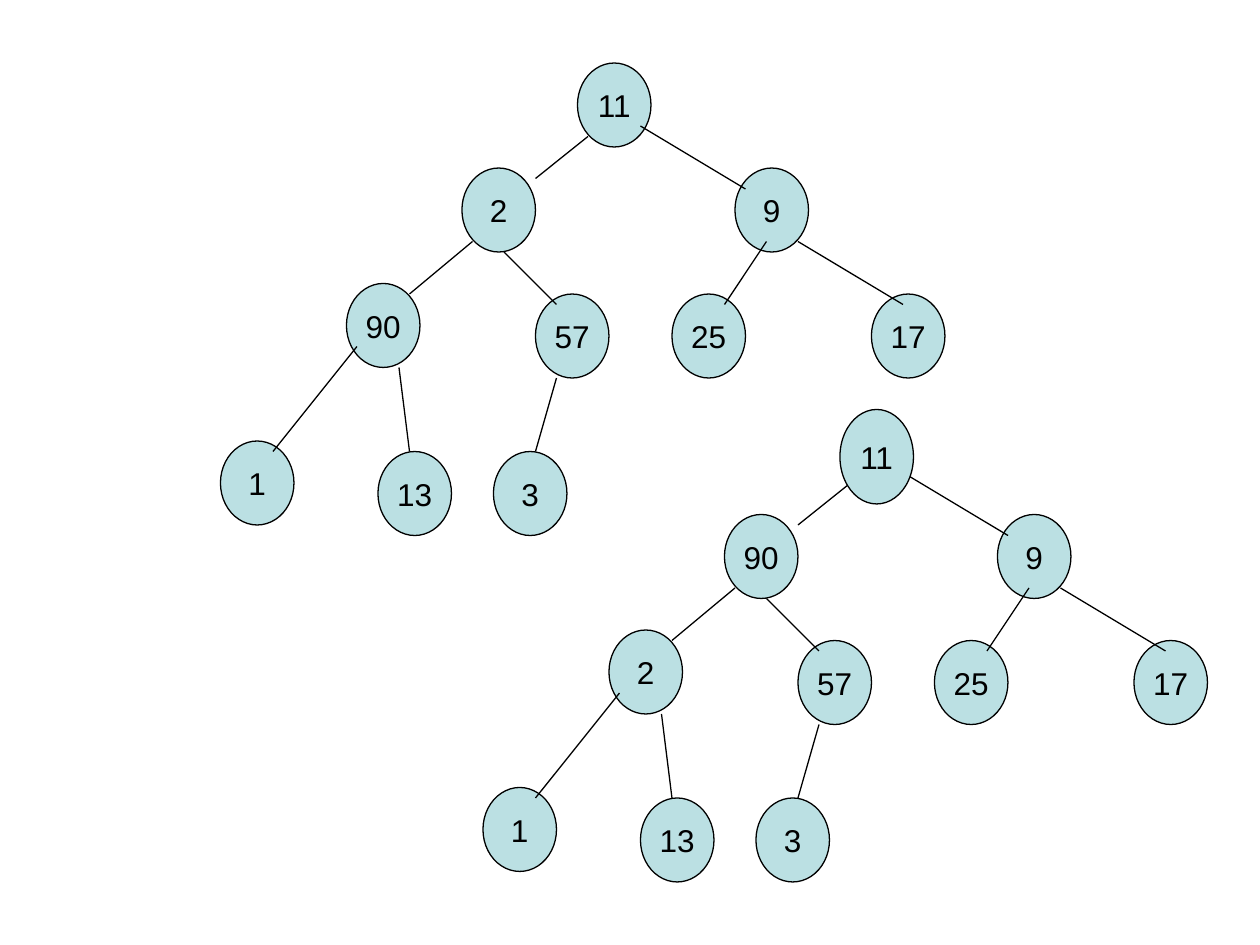
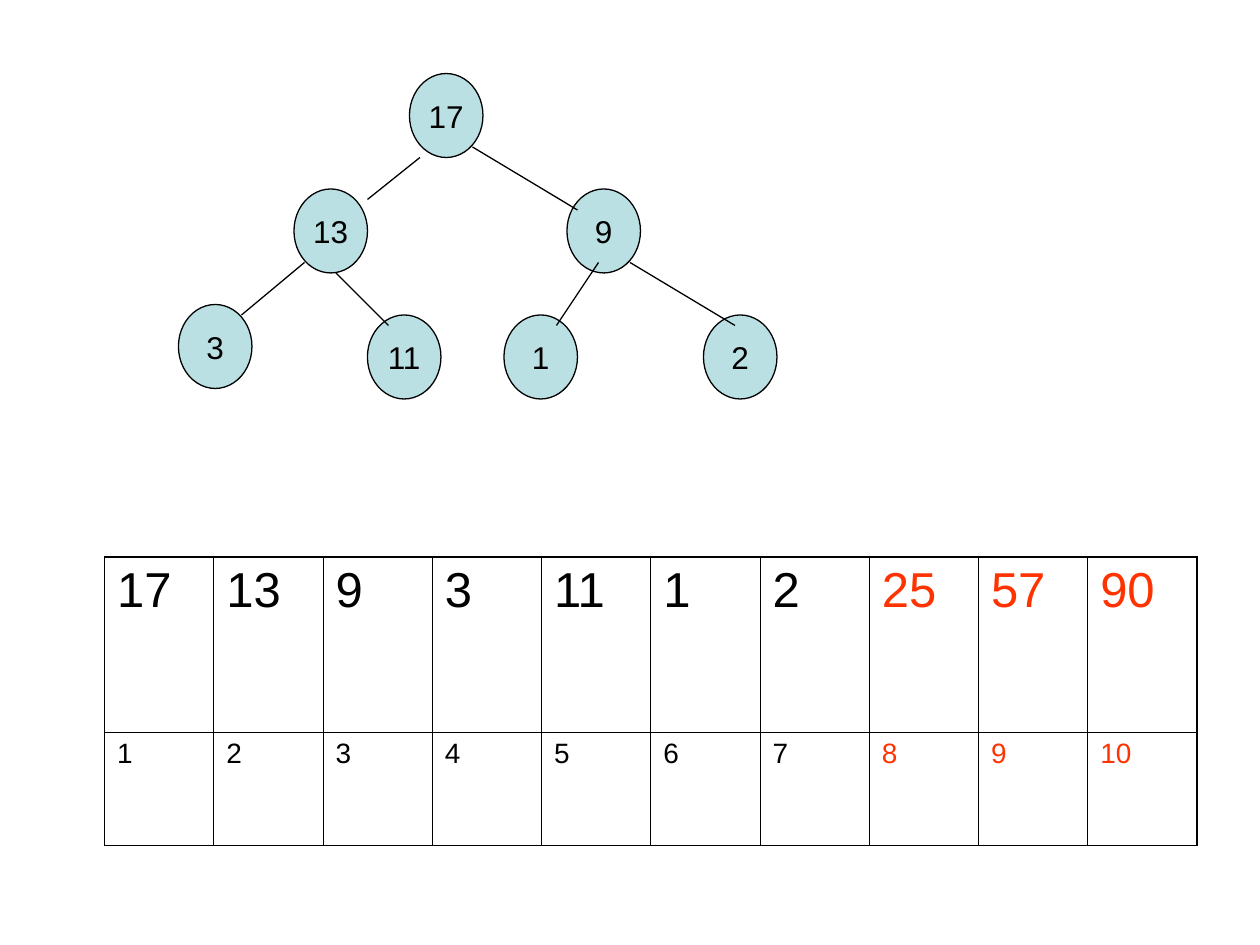
from typing import NamedTuple, Optional

from lxml import etree
from pptx import Presentation
from pptx.dml.color import RGBColor
from pptx.enum.shapes import MSO_CONNECTOR as Connector, MSO_SHAPE as Preset
from pptx.enum.text import MSO_ANCHOR as Anchor, PP_ALIGN as Align
from pptx.oxml.ns import qn
from pptx.slide import Slide
from pptx.table import _Cell as Cell
from pptx.text.text import TextFrame
from pptx.util import Inches, Length, Pt

BLACK = RGBColor(0x00, 0x00, 0x00)
NODE_BLUE = RGBColor(0xBB, 0xE0, 0xE3)
SORTED_RED = RGBColor(0xFF, 0x33, 0x00)
FONT = "Arial"
NODE_WIDTH, NODE_HEIGHT = 7, 8
THIN, THICK = Pt(0.45), Pt(1.08)


class Point(NamedTuple):
    """A place on a grid of twelfths of an inch."""
    x: int
    y: int

    def shifted(self, offset: "Point") -> "Point":
        return Point(self.x + offset.x, self.y + offset.y)


class Slot(NamedTuple):
    """A node's corner and the edge from its parent, relative to the root."""
    corner: Point
    edge_start: Point
    edge_end: Point


class HeapTree(NamedTuple):
    values: list[int]
    origin: Point
    root_rise: int = 0
    root_height: int = NODE_HEIGHT
    root_in_front: bool = True


class ArrayRow(NamedTuple):
    values: list[int]
    height: float
    font_size: int


CHILD_SLOTS = [
    Slot(Point(-11, 10), Point(1, 7), Point(-4, 11)),
    Slot(Point(15, 10), Point(6, 6), Point(16, 12)),
    Slot(Point(-22, 21), Point(-10, 17), Point(-16, 22)),
    Slot(Point(-4, 22), Point(-7, 18), Point(-2, 23)),
    Slot(Point(9, 22), Point(18, 17), Point(14, 23)),
    Slot(Point(28, 22), Point(21, 17), Point(31, 23)),
    Slot(Point(-34, 36), Point(-21, 27), Point(-29, 37)),
    Slot(Point(-19, 37), Point(-17, 29), Point(-16, 37)),
    Slot(Point(-8, 37), Point(-2, 30), Point(-4, 37)),
]

SWAP_TREES = [
    HeapTree([11, 2, 9, 90, 57, 25, 17, 1, 13, 3], Point(55, 6), root_in_front=False),
    HeapTree([11, 90, 9, 2, 57, 25, 17, 1, 13, 3], Point(80, 39), root_height=9),
]
REMAINING_HEAP = HeapTree([17, 13, 9, 3, 11, 1, 2], Point(39, 8), root_rise=1)
ARRAY_ROWS = [
    ArrayRow(REMAINING_HEAP.values + [25, 57, 90], 1.39, 28),
    ArrayRow(list(range(1, 11)), 0.9, 16),
]


def grid(units: int) -> Length:
    return Inches(units / 12)


def set_text(frame: TextFrame, text: str, size: int, color: RGBColor = BLACK,
             align: Optional[Align] = None) -> None:
    frame.text = text
    paragraph = frame.paragraphs[0]
    paragraph.alignment = align
    font = paragraph.runs[0].font
    font.name, font.size = FONT, Pt(size)
    font.color.rgb = color


def draw_node(slide: Slide, value: int, corner: Point, height: int = NODE_HEIGHT) -> None:
    shape = slide.shapes.add_shape(Preset.OVAL, grid(corner.x), grid(corner.y),
                                   grid(NODE_WIDTH), grid(height))
    shape.shadow.inherit = False
    shape.fill.solid()
    shape.fill.fore_color.rgb = NODE_BLUE
    shape.line.color.rgb = BLACK
    shape.line.width = Pt(0.75)
    shape.text_frame.word_wrap = False
    shape.text_frame.vertical_anchor = Anchor.MIDDLE
    set_text(shape.text_frame, str(value), 18, align=Align.CENTER)


def draw_edge(slide: Slide, start: Point, end: Point) -> None:
    edge = slide.shapes.add_connector(Connector.STRAIGHT, grid(start.x), grid(start.y),
                                      grid(end.x), grid(end.y))
    edge.line.color.rgb = BLACK
    edge.line.width = Pt(0.75)
    properties = edge._element.find(qn("p:spPr"))
    etree.SubElement(properties, qn("a:effectLst"))


def draw_root(slide: Slide, tree: HeapTree) -> None:
    corner = tree.origin.shifted(Point(0, -tree.root_rise))
    draw_node(slide, tree.values[0], corner, tree.root_height)


def draw_tree(slide: Slide, tree: HeapTree) -> None:
    if not tree.root_in_front:
        draw_root(slide, tree)
    children = list(zip(tree.values[1:], CHILD_SLOTS))
    for value, slot in children:
        draw_node(slide, value, slot.corner.shifted(tree.origin))
    for _, slot in children:
        draw_edge(slide, slot.edge_start.shifted(tree.origin),
                  slot.edge_end.shifted(tree.origin))
    if tree.root_in_front:
        draw_root(slide, tree)


def set_borders(cell: Cell, widths: dict[str, Length]) -> None:
    """Set border widths by side letter, in the order L, R, T, B."""
    properties = cell._tc.get_or_add_tcPr()
    for index, (side, width) in enumerate(widths.items()):
        border = etree.Element(qn(f"a:ln{side}"), w=str(width))
        fill = etree.SubElement(border, qn("a:solidFill"))
        etree.SubElement(fill, qn("a:srgbClr"), val=str(BLACK))
        properties.insert(index, border)


def draw_array(slide: Slide, rows: list[ArrayRow], sorted_from: int) -> None:
    """Draw the values over their indexes, with the sorted tail in red."""
    column_count = len(rows[0].values)
    height = sum(row.height for row in rows)
    table = slide.shapes.add_table(len(rows), column_count, Inches(0.83), Inches(4.42),
                                   Inches(8.67), Inches(height)).table
    table.first_row = table.horz_banding = False
    for row_index, row in enumerate(rows):
        table.rows[row_index].height = Inches(row.height)
        for column, value in enumerate(row.values):
            cell = table.cell(row_index, column)
            cell.fill.background()
            color = SORTED_RED if column >= sorted_from else BLACK
            set_text(cell.text_frame, str(value), row.font_size, color)
            outer_sides = {
                "L": column == 0,
                "R": column == column_count - 1,
                "T": row_index == 0,
                "B": row_index == len(rows) - 1,
            }
            set_borders(cell, {side: THICK if outer else THIN
                               for side, outer in outer_sides.items()})


def main() -> None:
    presentation = Presentation()
    presentation.slide_width, presentation.slide_height = Inches(10), Inches(7.5)
    blank = presentation.slide_layouts[6]

    swap_slide = presentation.slides.add_slide(blank)
    for tree in SWAP_TREES:
        draw_tree(swap_slide, tree)

    array_slide = presentation.slides.add_slide(blank)
    draw_tree(array_slide, REMAINING_HEAP)
    draw_array(array_slide, ARRAY_ROWS, sorted_from=len(REMAINING_HEAP.values))

    presentation.save("out.pptx")


if __name__ == "__main__":
    main()
